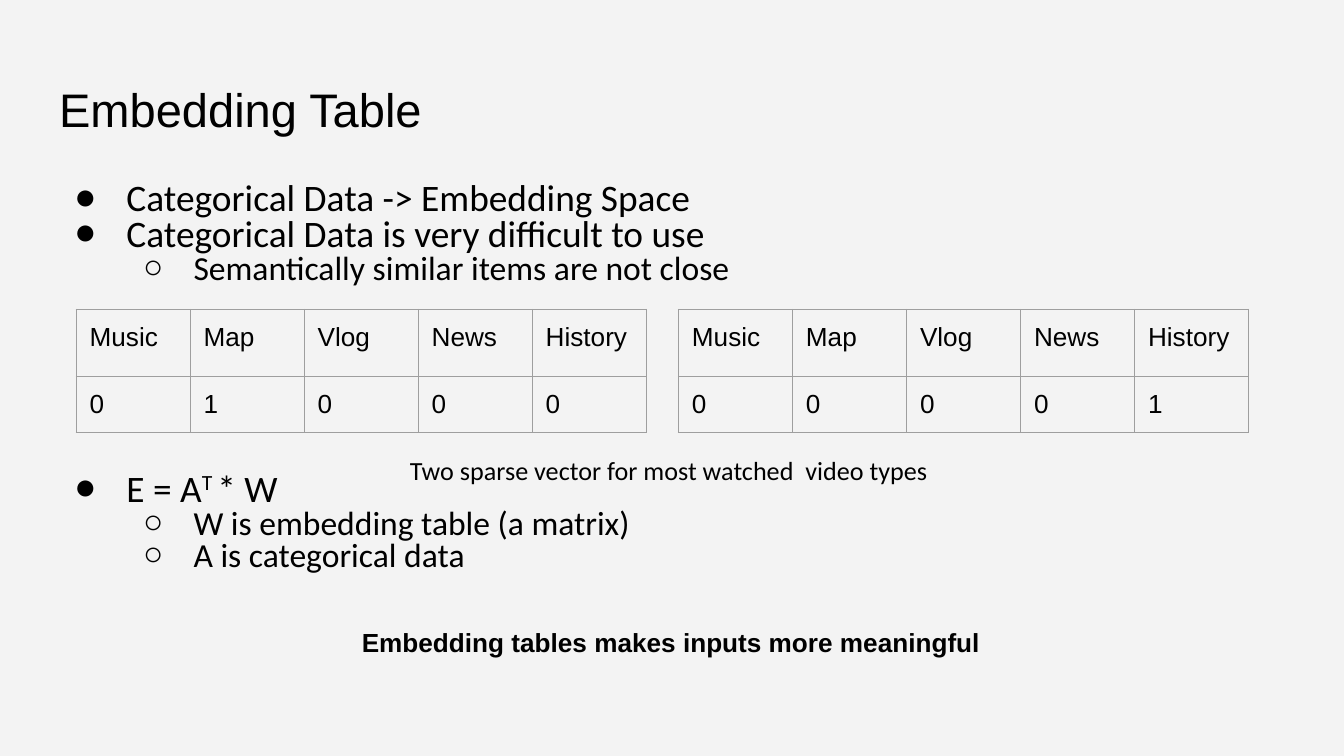
"""Build the "Embedding Table" slide with its bullets and two sparse vector tables."""
from lxml.etree import SubElement
from pptx import Presentation
from pptx.dml.color import RGBColor
from pptx.enum.text import MSO_ANCHOR, MSO_AUTO_SIZE, PP_ALIGN
from pptx.oxml import parse_xml
from pptx.oxml.ns import nsdecls, qn
from pptx.util import Pt


def color(value):
    return RGBColor.from_string(value)


def style(run, size, font, bold=False):
    run.font.size = Pt(size)
    run.font.name = font
    run.font.bold = bold
    run.font.color.rgb = color("000000")


deck = Presentation()
deck.slide_width, deck.slide_height = Pt(720), Pt(405)
slide = deck.slides.add_slide(deck.slide_layouts[1])
slide.background.fill.solid()
slide.background.fill.fore_color.rgb = color("F3F3F3")

heading, points = slide.shapes.title, slide.placeholders[1]
for placeholder, top, height, anchor in [
    (heading, 35, 45.5, MSO_ANCHOR.BOTTOM),
    (points, 90.7, 269, MSO_ANCHOR.TOP),
]:
    placeholder.left, placeholder.top = Pt(24.5), Pt(top)
    placeholder.width, placeholder.height = Pt(671), Pt(height)
    frame = placeholder.text_frame
    frame.auto_size = MSO_AUTO_SIZE.NONE
    frame.vertical_anchor = anchor
    frame.margin_left = frame.margin_right = Pt(7.2)
    frame.margin_top = frame.margin_bottom = Pt(7.2)

heading.text_frame.text = "Embedding Table"
heading.text_frame.paragraphs[0].alignment = PP_ALIGN.LEFT
style(heading.text_frame.paragraphs[0].runs[0], 25.2, "Arial")

outline = [
    (0, 10, ["Categorical Data -> Embedding Space"]),
    (0, 0, ["Categorical Data is very difficult to use"]),
    (1, 0, ["Semantically similar items are not close"]),
    (0, 100, ["E = A", "T ", "* W"]),
    (1, 0, ["W is embedding table (a matrix)"]),
    (1, 0, ["A is categorical data"]),
]
points.text_frame.text = "\n".join("" for _ in outline)
for paragraph, (level, gap, pieces) in zip(points.text_frame.paragraphs, outline):
    paragraph.level = level
    paragraph.line_spacing = 0.8
    paragraph.space_before = Pt(gap)
    for piece in pieces:
        run = paragraph.add_run()
        run.text = piece
        style(run, 18 if level else 20, "Calibri")
        if piece == "T ":
            run.font._element.set("baseline", "30000")
    properties = paragraph._p.get_or_add_pPr()
    properties.set("marL", str(Pt(36 * (level + 1))))
    properties.set("indent", str(Pt(-27 if level else -28)))
    bullet_color = SubElement(properties, qn("a:buClr"))
    SubElement(bullet_color, qn("a:srgbClr"), val="000000")
    SubElement(properties, qn("a:buChar"), char="○" if level else "●")

categories = ["Music", "Map", "Vlog", "News", "History"]
for left, watched in [(40.8, "Map"), (363.5, "History")]:
    vector = slide.shapes.add_table(2, 5, Pt(left), Pt(165.8), Pt(305.5), Pt(66)).table
    vector.first_row = vector.horz_banding = False
    vector.rows[0].height, vector.rows[1].height = Pt(35.8), Pt(30.2)
    for column, category in enumerate(categories):
        vector.columns[column].width = Pt(61.1)
        flag = "1" if category == watched else "0"
        for row, label in enumerate([category, flag]):
            cell = vector.cell(row, column)
            cell.text_frame.text = label
            style(cell.text_frame.paragraphs[0].runs[0], 14, "Arial")
            cell.margin_left = cell.margin_right = Pt(7.2)
            cell.margin_top = cell.margin_bottom = Pt(7.2)
            cell.fill.background()
            for order, side in enumerate(["lnL", "lnR", "lnT", "lnB"]):
                border = parse_xml(
                    f'<a:{side} {nsdecls("a")} w="{Pt(0.75)}"><a:solidFill>'
                    f'<a:srgbClr val="9E9E9E"/></a:solidFill></a:{side}>'
                )
                cell._tc.get_or_add_tcPr().insert(order, border)

for text, left, top, width, font, bold in [
    ("Two sparse vector for most watched  video types ", 190.8, 236.2, 338.4, "Calibri", False),
    ("Embedding tables makes inputs more meaningful", 134.6, 328.3, 450, "Arial", True),
]:
    caption = slide.shapes.add_textbox(Pt(left), Pt(top), Pt(width), Pt(31.7)).text_frame
    caption.word_wrap = True
    caption.auto_size = MSO_AUTO_SIZE.SHAPE_TO_FIT_TEXT
    caption.margin_left = caption.margin_right = Pt(7.2)
    caption.margin_top = caption.margin_bottom = Pt(7.2)
    caption.text = text
    caption.paragraphs[0].alignment = PP_ALIGN.CENTER
    style(caption.paragraphs[0].runs[0], 14, font, bold)

deck.save("out.pptx")
